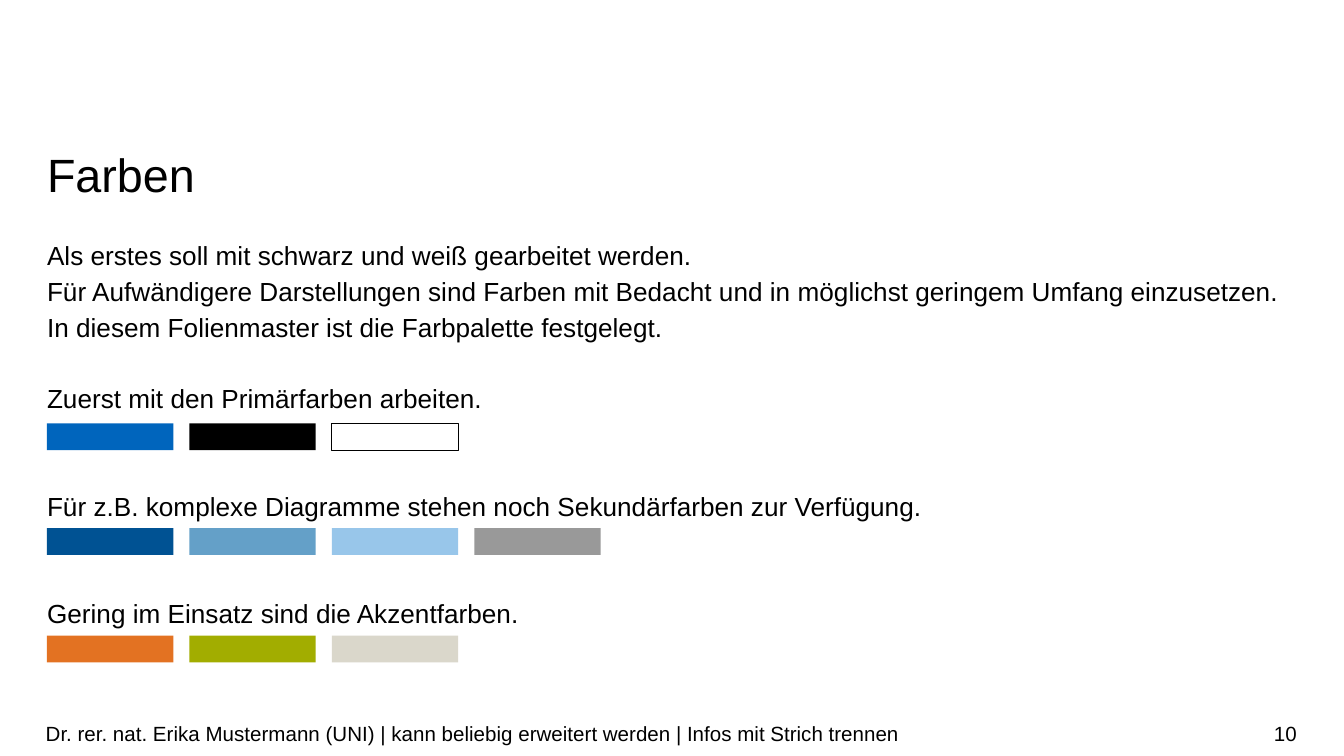
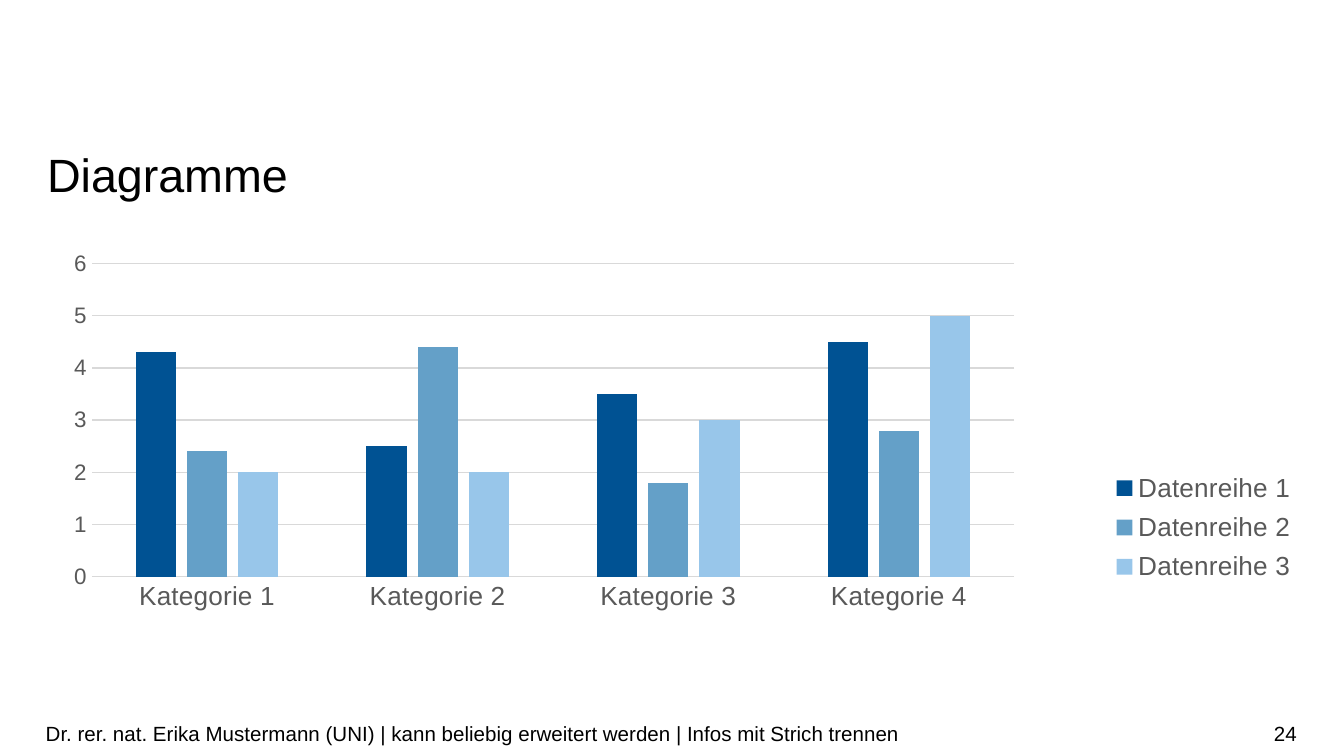
from lxml import etree
from pptx import Presentation
from pptx.chart.data import CategoryChartData
from pptx.dml.color import RGBColor
from pptx.enum.chart import XL_CHART_TYPE, XL_LEGEND_POSITION, XL_TICK_MARK
from pptx.enum.shapes import MSO_SHAPE
from pptx.enum.text import MSO_ANCHOR, MSO_AUTO_SIZE, PP_ALIGN
from pptx.oxml.ns import qn
from pptx.util import Inches, Pt

FONT = "Arial"
COLORS = {
    "blue": "0065BD", "black": "000000", "white": "FFFFFF",
    "dark_blue": "005293", "mid_blue": "64A0C8", "light_blue": "98C6EA",
    "gray": "999999", "orange": "E37222", "green": "A2AD00", "beige": "DAD7CB",
    "chart_text": "595959", "grid": "D9D9D9",
}
FOOTER = ("Dr. rer. nat. Erika Mustermann (UNI) | kann beliebig erweitert werden"
          " | Infos mit Strich trennen")
LEFT, WIDTH = 0.35, 9.31
LINE_PITCH = 19.2  # points from one body line to the next

INTRO = [
    "Als erstes soll mit schwarz und weiß gearbeitet werden.",
    "Für Aufwändigere Darstellungen sind Farben mit Bedacht und in möglichst"
    " geringem Umfang einzusetzen.",
    "In diesem Folienmaster ist die Farbpalette festgelegt.",
]
# Each body paragraph: its lines, and the number of free lines above it
BODY = [
    (INTRO, 0),
    (["Zuerst mit den Primärfarben arbeiten."], 1),
    (["Für z.B. komplexe Diagramme stehen noch Sekundärfarben zur Verfügung."], 2),
    (["Gering im Einsatz sind die Akzentfarben."], 2),
]
SWATCHES = [
    (3.15, ["blue", "black", "white"]),
    (3.93, ["dark_blue", "mid_blue", "light_blue", "gray"]),
    (4.73, ["orange", "green", "beige"]),
]
CATEGORIES = [f"Kategorie {n}" for n in range(1, 5)]
SERIES = [
    ("Datenreihe 1", (4.3, 2.5, 3.5, 4.5), "dark_blue"),
    ("Datenreihe 2", (2.4, 4.4, 1.8, 2.8), "mid_blue"),
    ("Datenreihe 3", (2, 2, 3, 5), "light_blue"),
]


def rgb(name):
    """Return the palette colour of that name."""
    return RGBColor.from_string(COLORS[name])


def style_font(font, size, color="black"):
    """Set typeface, size and colour."""
    font.name, font.size = FONT, Pt(size)
    font.color.rgb = rgb(color)


def add_run(p, text, size):
    """Append a formatted run to a paragraph."""
    r = p.add_run()
    r.text = text
    style_font(r.font, size)


def place(sp, left, top, width, height):
    """Move and size a shape, in inches."""
    sp.left, sp.top = Inches(left), Inches(top)
    sp.width, sp.height = Inches(width), Inches(height)


def set_frame(tf, anchor, inset=0, auto_size=MSO_AUTO_SIZE.NONE):
    """Set wrapping, anchor and insets of a text frame."""
    tf.word_wrap, tf.auto_size, tf.vertical_anchor = True, auto_size, anchor
    tf.margin_left = tf.margin_right = 0
    tf.margin_top = tf.margin_bottom = Inches(inset)


def add_footer_text(s, left, width, text, align):
    """Add one text of the footer line."""
    sp = s.shapes.add_textbox(Inches(left), Inches(5.31), Inches(width), Inches(0.3))
    set_frame(sp.text_frame, MSO_ANCHOR.MIDDLE, 0.05)
    p = sp.text_frame.paragraphs[0]
    p.alignment = align
    add_run(p, text, 11)


def new_slide(prs, layout, title, number):
    """Add a slide with title, footer and page number."""
    s = prs.slides.add_slide(prs.slide_layouts[layout])
    place(s.shapes.title, LEFT, 1.06, WIDTH, 0.45)
    tf = s.shapes.title.text_frame
    set_frame(tf, MSO_ANCHOR.TOP, auto_size=MSO_AUTO_SIZE.SHAPE_TO_FIT_TEXT)
    p = tf.paragraphs[0]
    p.alignment, p.line_spacing = PP_ALIGN.LEFT, Pt(32)
    add_run(p, title, 25)
    add_footer_text(s, 7.41, 2.24, number, PP_ALIGN.RIGHT)
    add_footer_text(s, 0.34, 7.07, FOOTER, PP_ALIGN.LEFT)
    return s


def fill_body(sp):
    """Write the unbulleted body paragraphs."""
    place(sp, LEFT, 1.75, WIDTH, 3.39)
    tf = sp.text_frame
    set_frame(tf, MSO_ANCHOR.TOP)
    for i, (lines, free_lines) in enumerate(BODY):
        p = tf.paragraphs[0] if i == 0 else tf.add_paragraph()
        p.line_spacing, p.space_before = 1.14, Pt(free_lines * LINE_PITCH)
        pPr = p._p.get_or_add_pPr()
        pPr.set("marL", "0")
        pPr.set("indent", "0")
        etree.SubElement(pPr, qn("a:buNone"))
        for n, line in enumerate(lines):
            if n:
                p.add_line_break()
            add_run(p, line, 14)


def add_swatch_row(s, top, names):
    """Add a row of equally spaced colour samples."""
    for i, name in enumerate(names):
        sp = s.shapes.add_shape(MSO_SHAPE.RECTANGLE, Inches(LEFT + i * 1.06),
                                Inches(top), Inches(0.94), Inches(0.2))
        sp.shadow.inherit = False
        sp.fill.solid()
        sp.fill.fore_color.rgb = rgb(name)
        if name == "white":
            sp.line.color.rgb, sp.line.width = rgb("black"), Pt(0.5)
        else:
            sp.line.fill.background()


def set_layout(parent, index, box, inner=False):
    """Place a chart part at x, y, w, h in percent of the chart."""
    for old in parent.findall(qn("c:layout")):
        parent.remove(old)
    layout = etree.Element(qn("c:layout"))
    manual = etree.SubElement(layout, qn("c:manualLayout"))
    items = [("layoutTarget", "inner")] if inner else []
    items += [("xMode", "edge"), ("yMode", "edge")]
    items += [(tag, f"{percent / 100:.3f}") for tag, percent in zip("xywh", box)]
    for tag, val in items:
        etree.SubElement(manual, qn(f"c:{tag}")).set("val", val)
    parent.insert(index, layout)


def style_axis(axis, size):
    """Set tick marks and label font of an axis."""
    axis.major_tick_mark = axis.minor_tick_mark = XL_TICK_MARK.NONE
    style_font(axis.tick_labels.font, size, "chart_text")


def style_line(line):
    """Make a line thin and light gray."""
    line.color.rgb, line.width = rgb("grid"), Pt(0.75)


def add_column_chart(s):
    """Add the clustered column chart with its legend."""
    data = CategoryChartData()
    data.categories = CATEGORIES
    for name, values, _ in SERIES:
        data.add_series(name, values)
    chart = s.shapes.add_chart(XL_CHART_TYPE.COLUMN_CLUSTERED, Inches(LEFT), Inches(1.8),
                               Inches(9.52), Inches(3.28), data).chart
    style_font(chart.font, 10)
    chart.has_title = False
    plot = chart.plots[0]
    plot.gap_width, plot.overlap, plot.vary_by_categories = 219, -27, False
    for series, (_, _, color) in zip(plot.series, SERIES):
        series.format.fill.solid()
        series.format.fill.fore_color.rgb = rgb(color)

    style_axis(chart.category_axis, 14)
    style_line(chart.category_axis.format.line)
    axis = chart.value_axis
    style_axis(axis, 12)
    axis.minimum_scale, axis.maximum_scale, axis.major_unit = 0, 6, 1
    axis.format.line.fill.background()
    style_line(axis.major_gridlines.format.line)

    chart.has_legend = True
    legend = chart.legend
    legend.position, legend.include_in_layout = XL_LEGEND_POSITION.BOTTOM, False
    style_font(legend.font, 14, "chart_text")
    set_layout(legend._element, 1, (82.9, 50.3, 15, 29))
    plot_area = chart._chartSpace.find(f".//{qn('c:plotArea')}")
    set_layout(plot_area, 0, (3.5, 4.9, 72.1, 71.1), inner=True)


def main():
    """Build both slides and save them."""
    prs = Presentation()
    prs.slide_width = Inches(10)
    prs.slide_height = prs.slide_width * 9 // 16

    s = new_slide(prs, 1, "Farben", "10")
    fill_body(s.placeholders[1])
    for top, names in SWATCHES:
        add_swatch_row(s, top, names)

    s = new_slide(prs, 5, "Diagramme", "24")
    add_column_chart(s)
    prs.save("out.pptx")


main()
